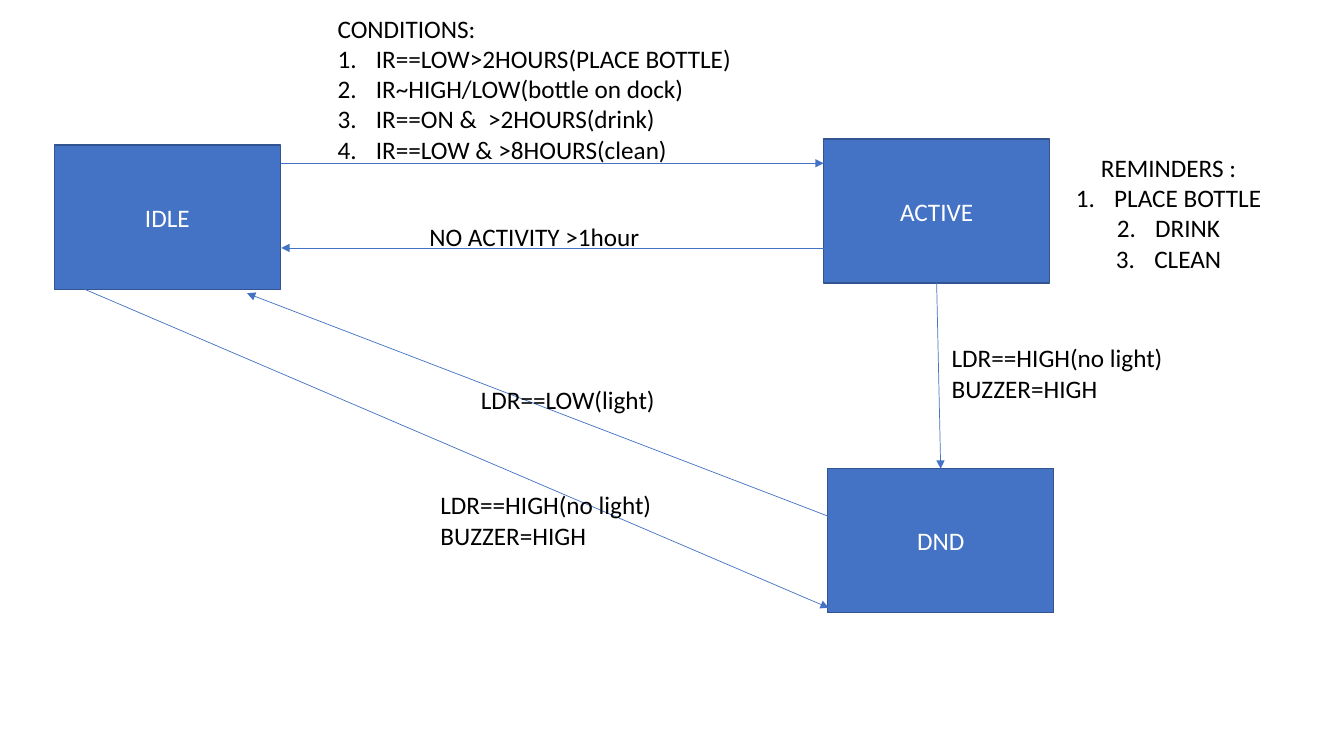
"""Build a state diagram slide of the idle, active and do-not-disturb modes."""
from dataclasses import dataclass

from lxml import etree
from pptx import Presentation
from pptx.dml.color import RGBColor
from pptx.enum.shapes import MSO_CONNECTOR, MSO_SHAPE
from pptx.enum.text import MSO_ANCHOR, PP_ALIGN
from pptx.oxml.ns import qn
from pptx.util import Inches, Pt

RECT = MSO_SHAPE.RECTANGLE
LINE = MSO_CONNECTOR.STRAIGHT
LEFT, MID = PP_ALIGN.LEFT, PP_ALIGN.CENTER
TOP, CORE = MSO_ANCHOR.TOP, MSO_ANCHOR.MIDDLE
BASE, HEAD = 2, 0


@dataclass(frozen=True)
class Theme:
    """Hold the colours, font and sizes of the slide."""
    blue: RGBColor = RGBColor(0x44, 0x72, 0xC4)
    edge: RGBColor = RGBColor(0x32, 0x54, 0x91)
    white: RGBColor = RGBColor(255, 255, 255)
    black: RGBColor = RGBColor(0, 0, 0)
    font: str = "Calibri"
    size: Pt = Pt(18)
    border: Pt = Pt(1)
    thin: Pt = Pt(0.5)


THEME = Theme()
WIDE, HIGH = 13.33, 7.5
BOX_W, BOX_H = 2.24, 1.43
INDENT = 0.38

STATES = {"IDLE": (0.54, 1.44), "DND": (8.21, 4.65), "ACTIVE": (8.17, 1.38)}
ARROWS = [
    ((2.79, 1.62), (8.17, 1.62)),
    ((8.17, 2.46), (2.79, 2.46)),
    ((8.21, 5.12), (2.45, 2.91)),
    ((0.84, 2.87), (8.22, 6.03)),
]
JOINS = [("ACTIVE", BASE, "DND", HEAD)]
DARK = ["LDR==HIGH(no light)", "BUZZER=HIGH"]
LABELS = [
    ((4.27, 4.81, 2.33, 0.71), DARK, [], LEFT),
    ((9.34, 3.35, 2.35, 0.71), DARK, [], LEFT),
    ((4.67, 3.76, 1.99, 0.4), ["LDR==LOW(light)"], [], LEFT),
    ((3.25, 0.08, 4.5, 3.13), ["CONDITIONS:"], [
        "IR==LOW>2HOURS(PLACE BOTTLE)",
        "IR~HIGH/LOW(bottle on dock)",
        "IR==ON &  >2HOURS(drink)",
        "IR==LOW & >8HOURS(clean)",
    ], LEFT),
    ((4.16, 2.15, 2.51, 0.4), ["NO ACTIVITY >1hour"], [], LEFT),
    ((10.47, 1.46, 2.24, 1.62), ["REMINDERS :"],
     ["PLACE BOTTLE", "DRINK", "CLEAN"], MID),
]


def apply(item, values):
    """Set each named attribute of an item."""
    for name, value in values.items():
        setattr(item, name, value)


def number(para):
    """Give a paragraph a hanging automatic number."""
    props = para._p.get_or_add_pPr()
    props.set("marL", str(Inches(INDENT)))
    props.set("indent", str(-Inches(INDENT)))
    font = etree.SubElement(props, qn("a:buFont"))
    font.set("typeface", "+mj-lt")
    mark = etree.SubElement(props, qn("a:buAutoNum"))
    mark.set("type", "arabicPeriod")


def write(frame, lines, steps, align, anchor, color):
    """Fill a text frame with plain lines and then numbered steps."""
    apply(frame, {"word_wrap": True, "vertical_anchor": anchor})
    for spot, text in enumerate(lines + steps):
        para = frame.add_paragraph() if spot else frame.paragraphs[0]
        para.alignment = align
        run = para.add_run()
        run.text = text
        apply(run.font, {"name": THEME.font, "size": THEME.size})
        run.font.color.rgb = color
        if spot >= len(lines):
            number(para)


def add_state(slide, name, left, top):
    """Draw one state as a filled rectangle."""
    box = slide.shapes.add_shape(RECT, *map(Inches, (left, top, BOX_W, BOX_H)))
    box.shadow.inherit = False
    box.fill.solid()
    box.fill.fore_color.rgb = THEME.blue
    box.line.color.rgb = THEME.edge
    box.line.width = THEME.border
    write(box.text_frame, [name], [], MID, CORE, THEME.white)
    return box


def add_arrow(slide, start, end):
    """Draw a thin line with an arrowhead at its end."""
    arrow = slide.shapes.add_connector(LINE, *map(Inches, start + end))
    arrow.line.color.rgb = THEME.blue
    arrow.line.width = THEME.thin
    tip = etree.SubElement(arrow.line._get_or_add_ln(), qn("a:tailEnd"))
    tip.set("type", "triangle")
    etree.SubElement(arrow._element.spPr, qn("a:effectLst"))
    return arrow


def main():
    """Build and save the slide."""
    deck = Presentation()
    apply(deck, {"slide_width": Inches(WIDE), "slide_height": Inches(HIGH)})
    slide = deck.slides.add_slide(deck.slide_layouts[6])
    boxes = {name: add_state(slide, name, *spot)
             for name, spot in STATES.items()}
    for start, end in ARROWS:
        add_arrow(slide, start, end)
    for source, out, target, into in JOINS:
        arrow = add_arrow(slide, STATES[source], STATES[target])
        arrow.begin_connect(boxes[source], out)
        arrow.end_connect(boxes[target], into)
    for place, lines, steps, align in LABELS:
        label = slide.shapes.add_textbox(*map(Inches, place))
        write(label.text_frame, lines, steps, align, TOP, THEME.black)
    deck.save("out.pptx")


if __name__ == "__main__":
    main()
